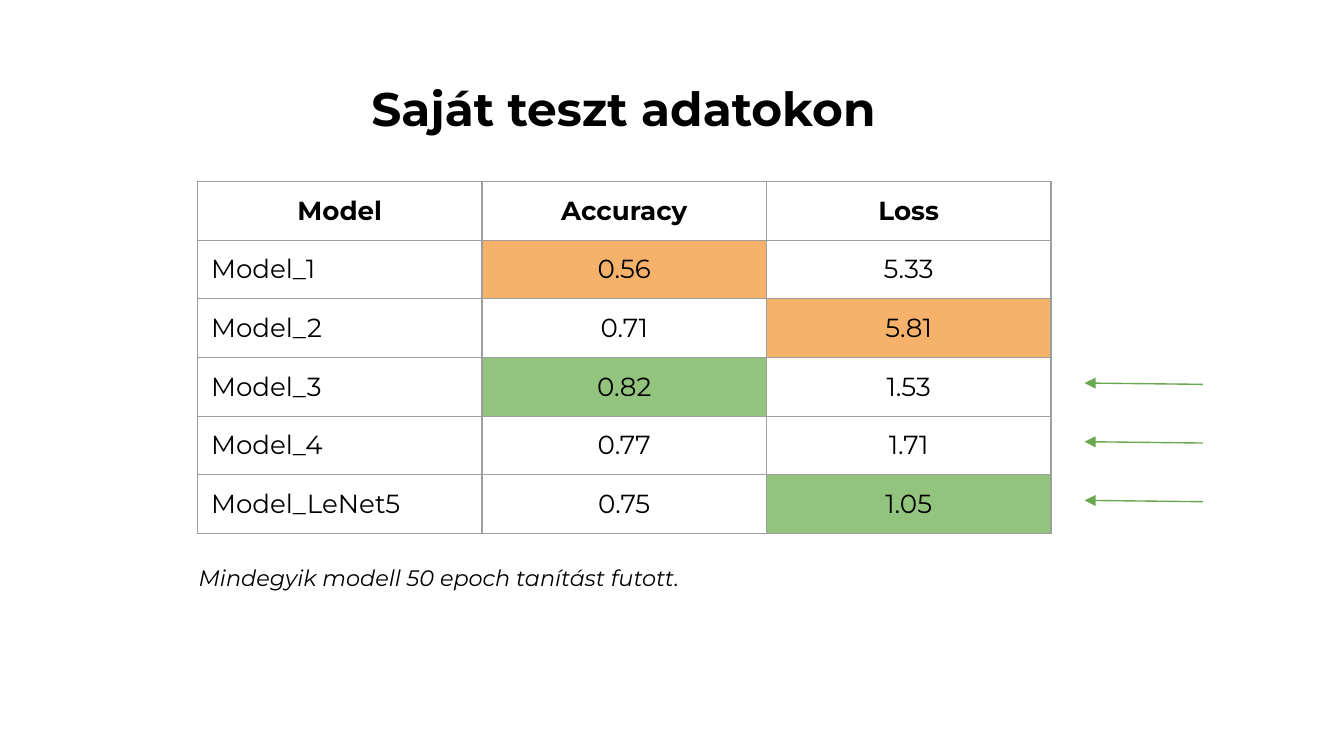
from dataclasses import dataclass

from lxml.etree import SubElement
from pptx import Presentation
from pptx.dml.color import RGBColor
from pptx.enum.shapes import MSO_CONNECTOR
from pptx.enum.text import PP_ALIGN
from pptx.oxml.ns import qn
from pptx.slide import Slide
from pptx.util import Inches, Pt

COLORS = {
    "text": "000000",
    "border": "9E9E9E",
    "worst": "F6B26B",
    "best": "93C47D",
    "arrow": "6AA84F",
}
RESULTS = [
    ("Model", "Accuracy", "Loss"),
    ("Model_1", "0.56", "5.33"),
    ("Model_2", "0.71", "5.81"),
    ("Model_3", "0.82", "1.53"),
    ("Model_4", "0.77", "1.71"),
    ("Model_LeNet5", "0.75", "1.05"),
]
HIGHLIGHTS = {(1, 1): "worst", (2, 2): "worst", (3, 1): "best", (5, 2): "best"}
TABLE_WIDTH, TABLE_HEIGHT = 6.35, 2.62


@dataclass
class ResultSlide:
    """Draws text, tables and arrows on one slide in a shared style."""

    slide: Slide
    font: str = "Montserrat"
    inset: float = 0.1

    def style(self, paragraph, size, bold=False, italic=False, align=PP_ALIGN.LEFT):
        paragraph.alignment = align
        font = paragraph.font
        font.name, font.size, font.bold, font.italic = self.font, Pt(size), bold, italic
        font.color.rgb = RGBColor.from_string(COLORS["text"])

    def pad(self, holder):
        holder.margin_left = holder.margin_right = Inches(self.inset)
        holder.margin_top = holder.margin_bottom = Inches(self.inset)

    def text(self, content, left, top, width, height, size, **style):
        box = self.slide.shapes.add_textbox(
            Inches(left), Inches(top), Inches(width), Inches(height))
        frame = box.text_frame
        frame.word_wrap = True
        self.pad(frame)
        frame.text = content
        self.style(frame.paragraphs[0], size, **style)

    def border(self, cell):
        properties = cell._tc.get_or_add_tcPr()
        for position, side in enumerate(("a:lnL", "a:lnR", "a:lnT", "a:lnB")):
            line = SubElement(properties, qn(side), w=str(Pt(0.75)))
            properties.insert(position, line)
            fill = SubElement(line, qn("a:solidFill"))
            SubElement(fill, qn("a:srgbClr"), val=COLORS["border"])

    def table(self, rows, highlights, left, top, width, height, size):
        table = self.slide.shapes.add_table(
            len(rows), len(rows[0]), Inches(left), Inches(top),
            Inches(width), Inches(height)).table
        table.horz_banding = False
        for r, values in enumerate(rows):
            for c, value in enumerate(values):
                cell = table.cell(r, c)
                cell.text = value
                self.pad(cell)
                centred = r == 0 or c > 0
                self.style(cell.text_frame.paragraphs[0], size, bold=r == 0,
                           align=PP_ALIGN.CENTER if centred else PP_ALIGN.LEFT)
                if (r, c) in highlights:
                    cell.fill.solid()
                    cell.fill.fore_color.rgb = RGBColor.from_string(COLORS[highlights[r, c]])
                else:
                    cell.fill.background()
                self.border(cell)

    def arrow(self, start, end):
        arrow = self.slide.shapes.add_connector(
            MSO_CONNECTOR.STRAIGHT, *map(Inches, start + end))
        arrow.line.color.rgb = RGBColor.from_string(COLORS["arrow"])
        arrow.line.width = Pt(0.75)
        SubElement(arrow.line._get_or_add_ln(), qn("a:tailEnd"),
                   type="triangle", w="med", len="med")
        SubElement(arrow._element.spPr, qn("a:effectLst"))


def main():
    presentation = Presentation()
    presentation.slide_width = Inches(10)
    presentation.slide_height = presentation.slide_width * 9 // 16
    page = ResultSlide(presentation.slides.add_slide(presentation.slide_layouts[6]))

    page.text("Saját teszt adatokon", -0.02, 0.49, 9.32, 0.63, 25.2,
              bold=True, align=PP_ALIGN.CENTER)
    page.table(RESULTS, HIGHLIGHTS, 1.47, 1.35, TABLE_WIDTH, TABLE_HEIGHT, 14)
    page.text("Mindegyik modell 50 epoch tanítást futott.", 1.38, 4.1, 6.43, 0.4, 12,
              italic=True)
    row_height = TABLE_HEIGHT / len(RESULTS)
    for row in range(3):
        tip = 2.85 + row_height * row
        page.arrow((8.95, tip + 0.01), (8.07, tip))

    presentation.save("out.pptx")


if __name__ == "__main__":
    main()
